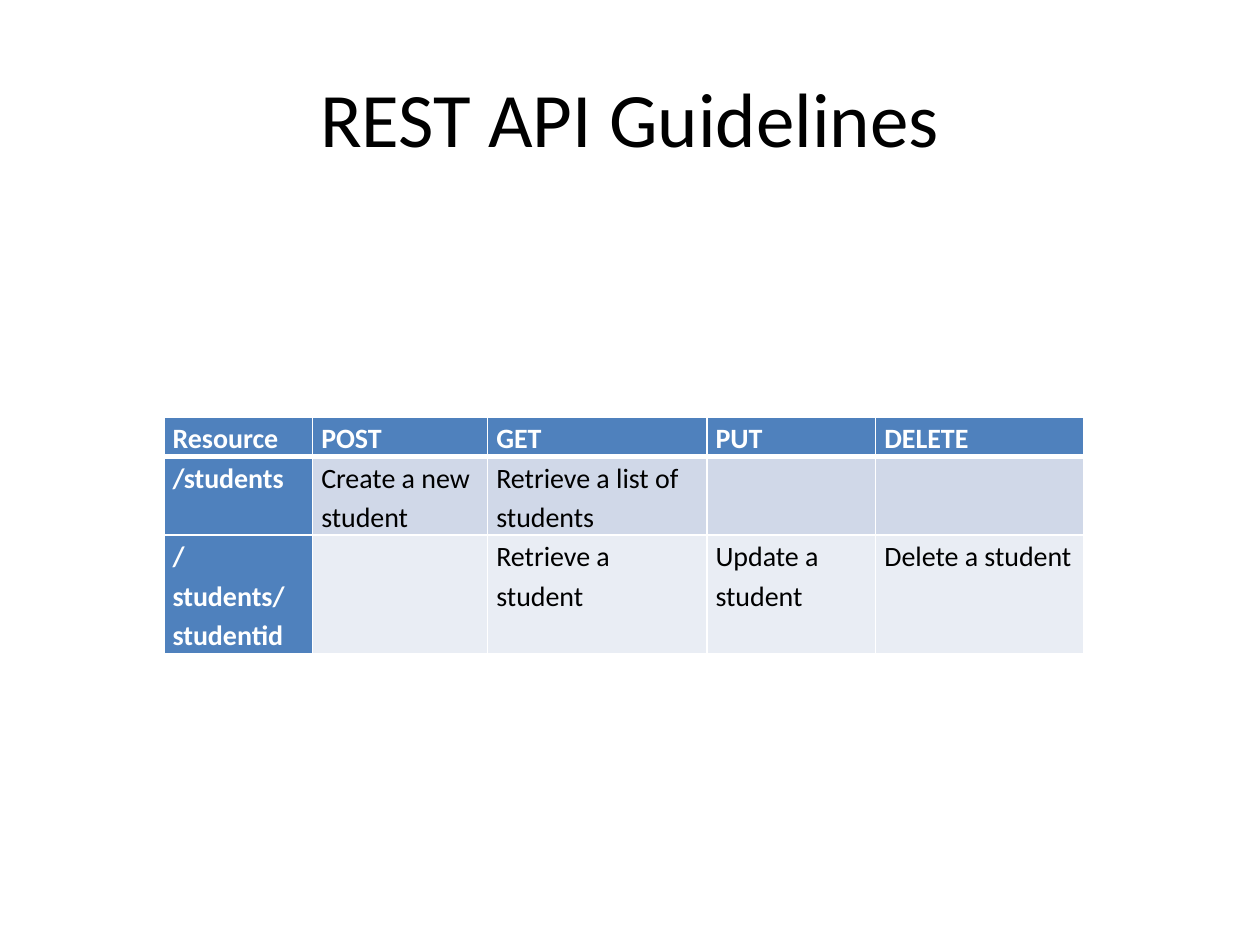
"""Build a slide with a table of REST API guidelines."""
from lxml.etree import SubElement
from pptx import Presentation
from pptx.dml.color import RGBColor
from pptx.enum.text import MSO_ANCHOR, PP_ALIGN
from pptx.oxml.ns import qn
from pptx.util import Inches, Pt

BLACK = RGBColor(0x00, 0x00, 0x00)
WHITE = RGBColor(0xFF, 0xFF, 0xFF)
BLUE = RGBColor(0x4F, 0x81, 0xBD)
BAND_DARK = RGBColor(0xD0, 0xD8, 0xE8)
BAND_LIGHT = RGBColor(0xE9, 0xED, 0xF4)
FONT = "Calibri"

COLUMN_WIDTHS = [1.18, 1.39, 1.74, 1.34, 1.65]
ROW_HEIGHTS = [0.31, 0.62, 0.94]
ROW_FILLS = [BLUE, BAND_DARK, BAND_LIGHT]
ROWS = [
    ["Resource", "POST", "GET", "PUT", "DELETE"],
    ["/students", "Create a new student", "Retrieve a list of students", "", ""],
    ["/students/studentid", "", "Retrieve a student", "Update a student", "Delete a student"],
]


def style_text(paragraph, size, color, bold=False):
    for span in paragraph.runs:
        span.font.name = FONT
        span.font.size = Pt(size)
        span.font.bold = bold
        span.font.color.rgb = color


def add_borders(cell, widths):
    properties = cell._tc.get_or_add_tcPr()
    for side, width in widths.items():
        line = SubElement(properties, qn(f"a:ln{side}"), w=str(Pt(width)))
        fill = SubElement(line, qn("a:solidFill"))
        SubElement(fill, qn("a:srgbClr"), val=str(WHITE))


deck = Presentation()
deck.slide_width = Inches(10)
deck.slide_height = Inches(7.5)
page = deck.slides.add_slide(deck.slide_layouts[5])

title = page.shapes.title
title.left, title.top = Inches(0.5), Inches(0.3)
title.width, title.height = Inches(9), Inches(1.25)
title.text_frame.text = "REST API Guidelines"
title.text_frame.vertical_anchor = MSO_ANCHOR.MIDDLE
heading = title.text_frame.paragraphs[0]
heading.alignment = PP_ALIGN.CENTER
style_text(heading, 44, BLACK)

table = page.shapes.add_table(
    len(ROWS), len(COLUMN_WIDTHS), Inches(1.3), Inches(3.31),
    Inches(sum(COLUMN_WIDTHS)), Inches(sum(ROW_HEIGHTS)),
).table
table.first_col = True
for column, width in zip(table.columns, COLUMN_WIDTHS):
    column.width = Inches(width)

for r, texts in enumerate(ROWS):
    table.rows[r].height = Inches(ROW_HEIGHTS[r])
    for c, text in enumerate(texts):
        is_header = r == 0 or c == 0
        cell = table.cell(r, c)
        cell.margin_left = cell.margin_right = Inches(0.07)
        cell.margin_top = cell.margin_bottom = Inches(0)
        add_borders(cell, {"L": 1, "R": 1, "T": 3 if r == 1 else 1, "B": 3 if r == 0 else 1})
        cell.fill.solid()
        cell.fill.fore_color.rgb = BLUE if is_header else ROW_FILLS[r]
        cell.text_frame.text = text
        para = cell.text_frame.paragraphs[0]
        para.line_spacing = 1.15
        style_text(para, 16, WHITE if is_header else BLACK, is_header)

deck.save("out.pptx")
